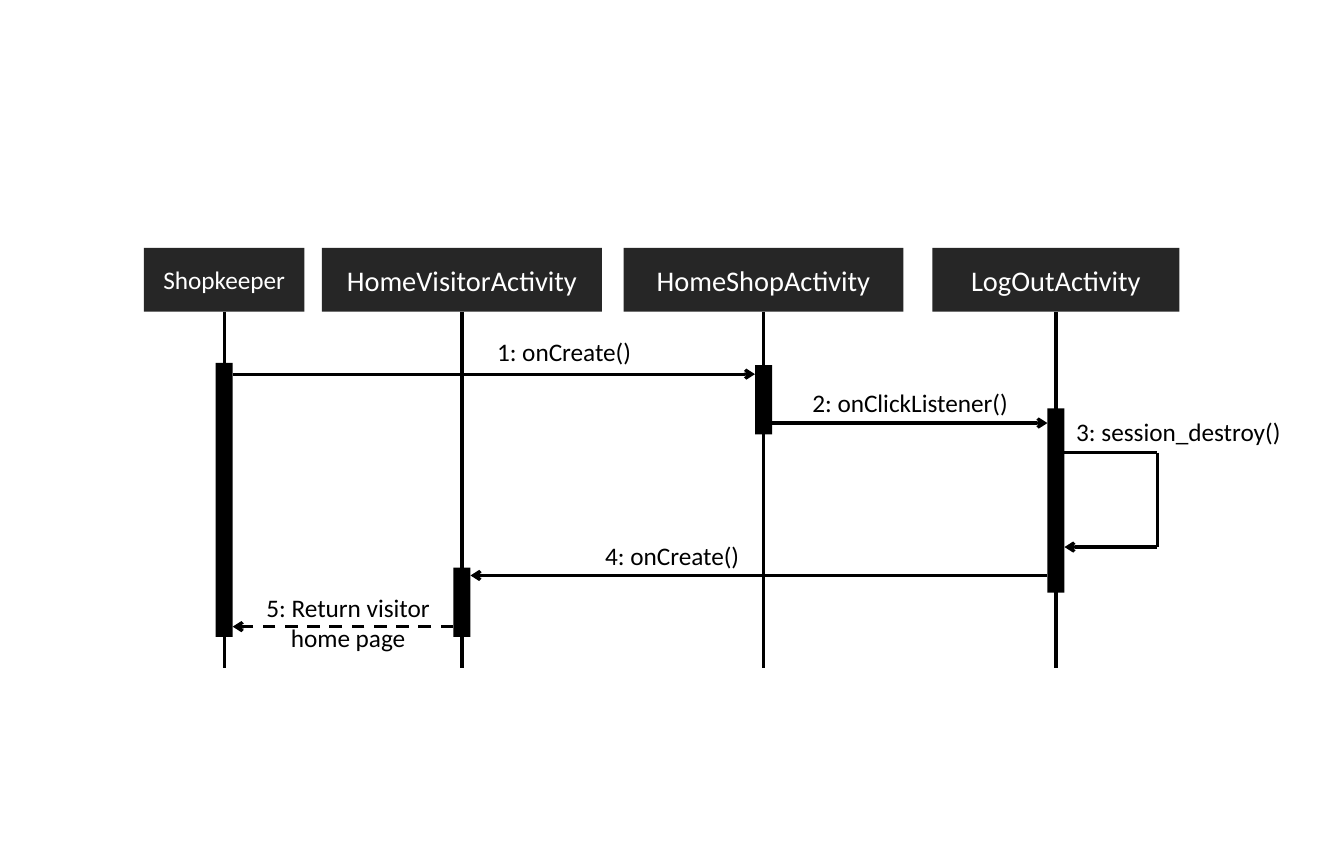
import dataclasses

import lxml.etree
import pptx
import pptx.dml.color
import pptx.enum.dml
import pptx.enum.shapes
import pptx.enum.text
import pptx.oxml.ns
import pptx.util

SLIDE_WIDTH, SLIDE_HEIGHT = pptx.util.Cm(30), pptx.util.Cm(19.05)
HEADER_TOP, HEADER_HEIGHT = 2.18, 0.56
HEADER_BOTTOM = HEADER_TOP + HEADER_HEIGHT
LIFELINE_BOTTOM = 5.87
BAR_WIDTH = 0.15
LOOP_REACH = 0.89
LABEL_LINE, LABEL_PADDING = 0.27, 0.1

# Column centres and message rows, in inches
COLUMNS = {"shopkeeper": 1.97, "visitor": 4.06, "shop": 6.71, "logout": 9.28}
ROWS = {"create_shop": 3.29, "click": 3.72, "destroy": 3.98,
        "destroyed": 4.81, "create_visitor": 5.06, "return": 5.51}


@dataclasses.dataclass(frozen=True)
class Theme:
    font: str = "Calibri"
    header_fill: str = "262626"
    header_text: str = "FFFFFF"
    ink: str = "000000"
    text_size: int = 16
    header_size: int = 18
    line_width: int = 2


THEME = Theme()


def color(value):
    return pptx.dml.color.RGBColor.from_string(value)


def inches(*lengths):
    return [pptx.util.Inches(length) for length in lengths]


def write_text(shape, text, *, size=THEME.text_size, ink=THEME.ink, align="LEFT",
               anchor="TOP", wrap=False):
    """Fill the shape with one paragraph for each line of text."""
    frame = shape.text_frame
    frame.word_wrap = wrap
    frame.vertical_anchor = getattr(pptx.enum.text.MSO_ANCHOR, anchor)
    frame.text = text
    for paragraph in frame.paragraphs:
        paragraph.alignment = getattr(pptx.enum.text.PP_ALIGN, align)
        paragraph.font.name = THEME.font
        paragraph.font.size = pptx.util.Pt(size)
        paragraph.font.color.rgb = color(ink)


def add_box(slide, left, top, width, height, fill):
    shape = slide.shapes.add_shape(pptx.enum.shapes.MSO_SHAPE.RECTANGLE,
                                   *inches(left, top, width, height))
    shape.shadow.inherit = False
    shape.fill.solid()
    shape.fill.fore_color.rgb = color(fill)
    shape.line.fill.background()
    return shape


def add_line(slide, start, end, *, arrow=False, dashed=False):
    connector = slide.shapes.add_connector(
        pptx.enum.shapes.MSO_CONNECTOR.STRAIGHT, *inches(*start, *end))
    connector.line.color.rgb = color(THEME.ink)
    connector.line.width = pptx.util.Pt(THEME.line_width)
    if dashed:
        connector.line.dash_style = pptx.enum.dml.MSO_LINE.DASH
    name = pptx.oxml.ns.qn
    if arrow:
        outline = connector._element.spPr.find(name("a:ln"))
        lxml.etree.SubElement(outline, name("a:tailEnd"), type="arrow")
    lxml.etree.SubElement(connector._element.spPr, name("a:effectLst"))


def add_label(slide, text, left, top, width, align="LEFT"):
    height = LABEL_PADDING + LABEL_LINE * len(text.split("\n"))
    label = slide.shapes.add_textbox(*inches(left, top, width, height))
    write_text(label, text, align=align)


def add_participant(slide, column, name, width, size=THEME.header_size):
    """Draw a header centred on its column, with the lifeline below it."""
    center = COLUMNS[column]
    header = add_box(slide, center - width / 2, HEADER_TOP, width, HEADER_HEIGHT,
                     THEME.header_fill)
    write_text(header, name, size=size, ink=THEME.header_text,
               align="CENTER", anchor="MIDDLE", wrap=True)
    add_line(slide, (center, HEADER_BOTTOM), (center, LIFELINE_BOTTOM))


def add_activation(slide, column, top, height):
    add_box(slide, COLUMNS[column] - BAR_WIDTH / 2, top, BAR_WIDTH, height, THEME.ink)


def add_message(slide, sender, receiver, row, dashed=False):
    """Draw an arrow between the facing edges of two activation bars."""
    start, end = COLUMNS[sender], COLUMNS[receiver]
    edge = BAR_WIDTH / 2 if start < end else -BAR_WIDTH / 2
    add_line(slide, (start + edge, ROWS[row]), (end - edge, ROWS[row]),
             arrow=True, dashed=dashed)


def add_self_message(slide, column, first_row, last_row):
    near, far = COLUMNS[column] + BAR_WIDTH / 2, COLUMNS[column] + LOOP_REACH
    top, bottom = ROWS[first_row], ROWS[last_row]
    add_line(slide, (near, top), (far, top))
    add_line(slide, (far, top), (far, bottom))
    add_line(slide, (far, bottom), (near, bottom), arrow=True)


def main():
    presentation = pptx.Presentation()
    presentation.slide_width = SLIDE_WIDTH
    presentation.slide_height = SLIDE_HEIGHT
    slide = presentation.slides.add_slide(presentation.slide_layouts.get_by_name("Blank"))

    add_participant(slide, "shopkeeper", "Shopkeeper", 1.41, THEME.text_size)
    add_participant(slide, "visitor", "HomeVisitorActivity", 2.46)
    add_participant(slide, "shop", "HomeShopActivity", 2.46)
    add_participant(slide, "logout", "LogOutActivity", 2.17)

    add_activation(slide, "shopkeeper", 3.19, 2.41)
    add_activation(slide, "visitor", 4.99, 0.61)
    add_activation(slide, "shop", 3.21, 0.61)
    add_activation(slide, "logout", 3.59, 1.62)

    add_message(slide, "shopkeeper", "shop", "create_shop")
    add_message(slide, "shop", "logout", "click")
    add_self_message(slide, "logout", "destroy", "destroyed")
    add_message(slide, "logout", "visitor", "create_visitor")
    add_message(slide, "visitor", "shopkeeper", "return", dashed=True)

    add_label(slide, "1: onCreate()", 4.27, 2.91, 1.4)
    add_label(slide, "2: onClickListener()", 7.04, 3.36, 1.95)
    add_label(slide, "3: session_destroy()", 9.36, 3.61, 2.03)
    add_label(slide, "4: onCreate()", 5.22, 4.7, 1.4)
    add_label(slide, "5: Return visitor\nhome page", 2.23, 5.16, 1.66, align="CENTER")

    presentation.save("out.pptx")


if __name__ == "__main__":
    main()
